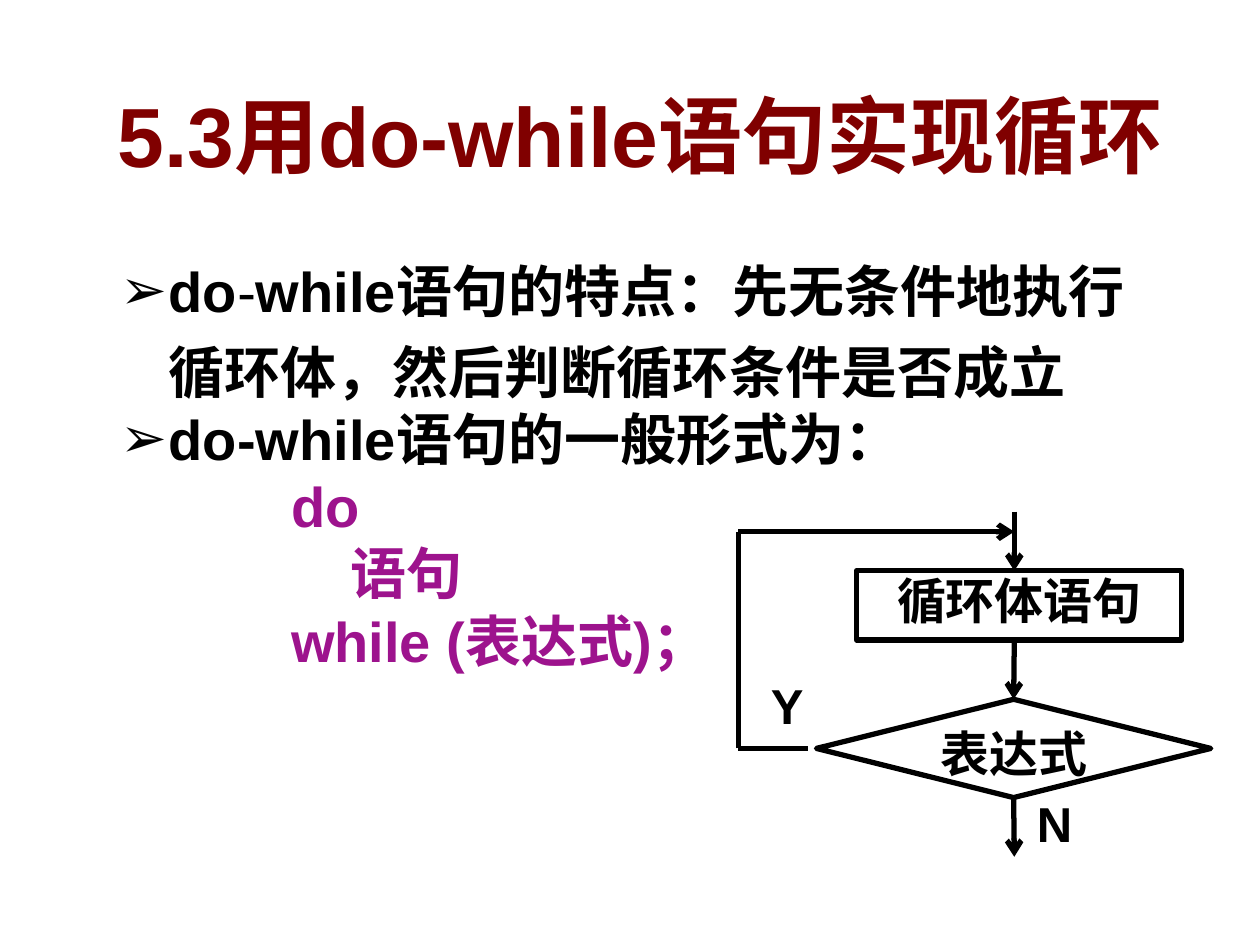
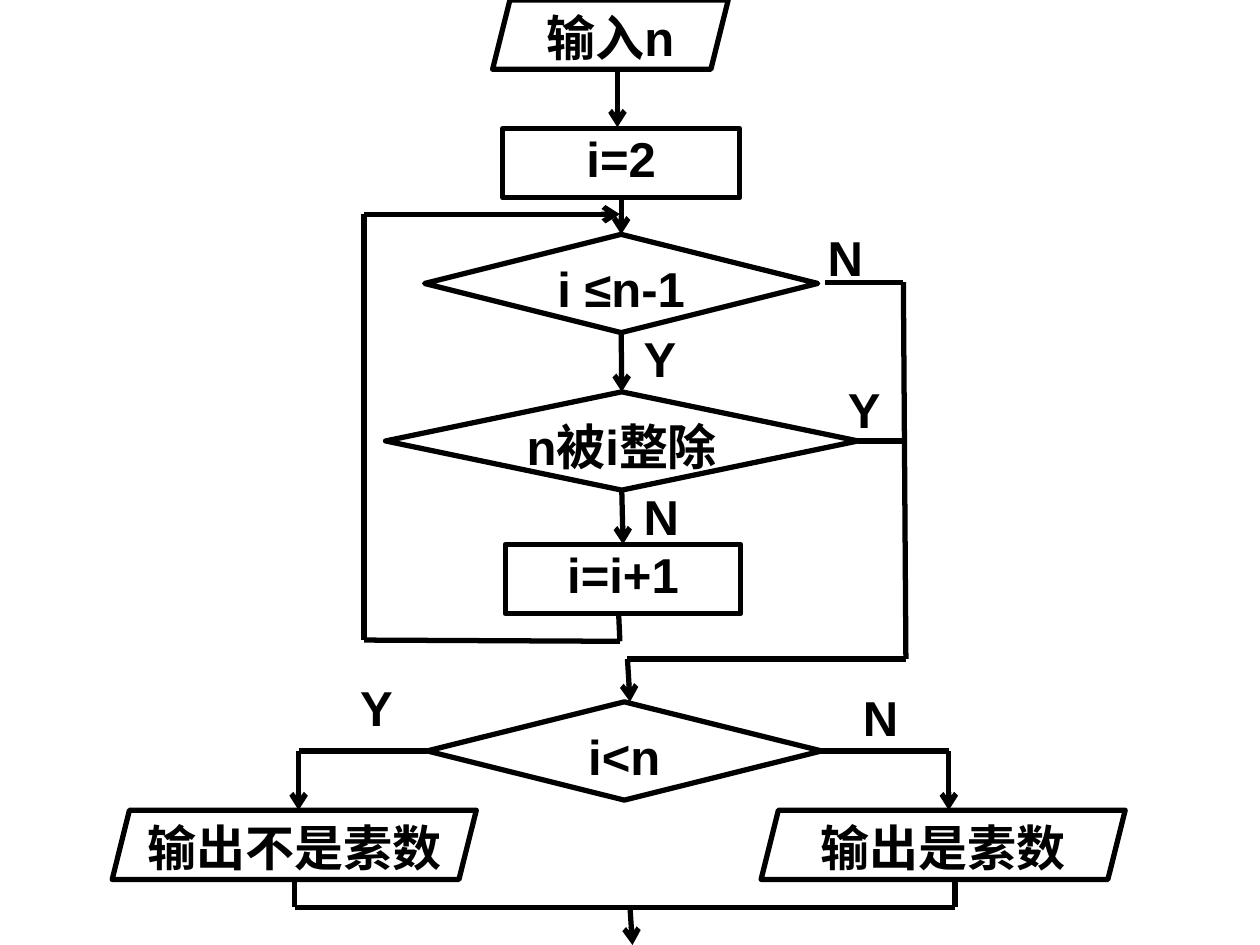
"""Build two slides on the do-while loop: its form, and a prime test flow chart."""
from lxml import etree
from pptx import Presentation
from pptx.dml.color import RGBColor
from pptx.enum.shapes import MSO_CONNECTOR, MSO_SHAPE
from pptx.enum.text import MSO_ANCHOR, MSO_AUTO_SIZE, PP_ALIGN
from pptx.oxml.ns import qn
from pptx.util import Inches, Pt

STEP = MSO_SHAPE.FLOWCHART_PROCESS
TEST = MSO_SHAPE.FLOWCHART_DECISION
DATA = MSO_SHAPE.PARALLELOGRAM
LINE = MSO_CONNECTOR.STRAIGHT
TOP, MIDDLE = MSO_ANCHOR.TOP, MSO_ANCHOR.MIDDLE
LEFT, CENTER = PP_ALIGN.LEFT, PP_ALIGN.CENTER
FIXED = MSO_AUTO_SIZE.NONE

BLACK, WHITE, RED, PLUM = "000000", "FFFFFF", "800000", "9D138D"
FONT = "Arial"
COLS = 20
UP, WEST, DOWN, EAST = range(4)


def ink(part, color):
    """Give a fill or a font colour one solid hex colour."""
    if hasattr(part, "solid"):
        part.solid()
        part = part.fore_color
    part.rgb = RGBColor.from_string(color)


def write(para, text, size, color=BLACK, bold=True):
    """Add one run to a paragraph and return it."""
    run = para.add_run()
    run.text = text
    run.font.size = Pt(size)
    run.font.bold = bold
    ink(run.font.color, color)
    run.font.name = FONT
    return run


deck = Presentation()
deck.slide_width, deck.slide_height = Inches(10), Inches(7.5)
cell = deck.slide_width / COLS

form = deck.slides.add_slide(deck.slide_layouts[1])
prime = deck.slides.add_slide(deck.slide_layouts[6])
title, body = form.shapes.title, form.placeholders[1]
places = [
    (title, (0.94, 1.22, 18.44, 1.82), MIDDLE),
    (body, (1.72, 3.76, 16.88, 7.82), TOP),
]
for box, spot, anchor in places:
    box.left, box.top, box.width, box.height = [round(n * cell) for n in spot]
    box.text_frame.auto_size = FIXED
    box.text_frame.word_wrap = True
    box.text_frame.vertical_anchor = anchor

head = title.text_frame.paragraphs[0]
head.alignment = CENTER
run = write(head, "5.3用do-while语句实现循环", 48, RED)
glow = etree.Element(qn("a:effectLst"))
shade = etree.SubElement(glow, qn("a:outerShdw"), dist="38100", dir="2700000")
etree.SubElement(shade, qn("a:srgbClr"), val="C0C0C0")
run.font._element.find(qn("a:solidFill")).addnext(glow)

items = [
    (0.38, 1.2, True, BLACK, [
        ("do", True), ("-", False),
        ("while语句的特点：先无条件地执行循环体，然后判断循环条件是否成立", True)]),
    (0.38, 1, True, BLACK, [("do-while语句的一般形式为：", True)]),
    (1.35, 1, False, PLUM, [("do", True)]),
    (1.82, 1, False, PLUM, [("语句", True)]),
    (1.35, 1, False, PLUM, [("while (表达式)；", True)]),
]
for index, (indent, space, mark, color, runs) in enumerate(items):
    frame = body.text_frame
    para = frame.add_paragraph() if index else frame.paragraphs[0]
    para.line_spacing, para.space_before = space, Pt(0)
    props = para._p.get_or_add_pPr()
    props.set("marL", str(Inches(indent)))
    props.set("indent", str(-Inches(indent) if mark else 0))
    if mark:
        tint = etree.SubElement(props, qn("a:buClr"))
        etree.SubElement(tint, qn("a:srgbClr"), val=BLACK)
        etree.SubElement(props, qn("a:buFont"), typeface=FONT)
        etree.SubElement(props, qn("a:buChar"), char="➢")
    else:
        etree.SubElement(props, qn("a:buNone"))
    for text, bold in runs:
        write(para, text, 32, color, bold)

high, tall = 1.1, 1.56
charts = [
    (form,
     [(STEP, "循环体语句", 13.6, 9.06, 5.16, high),
      (TEST, "表达式", 12.96, 11.1, 6.26, tall)],
     [("Y", 12.04, 10.62), ("N", 16.26, 12.5)],
     [(True, [(16.1, 8.12), (16.1, 9.06)]),
      (True, [(16.1, 10.16), ("表达式", UP)]),
      (True, [("表达式", DOWN), (16.1, 13.6)]),
      (True, [(12.82, 11.88), (11.72, 11.88), (11.72, 8.44), (16.1, 8.44)])]),
    (prime,
     [(DATA, "输入n", 7.82, 0, 3.74, high),
      (STEP, "i=2", 7.98, 2.04, 3.76, high),
      (TEST, "i ≤n-1", 6.74, 3.72, 6.24, tall),
      (TEST, "n被i整除", 6.12, 6.22, 7.5, tall),
      (STEP, "i=i+1", 8.02, 8.64, 3.74, high),
      (TEST, "i<n", 6.78, 11.14, 6.26, tall),
      (DATA, "输出不是素数", 1.78, 12.86, 5.78, high),
      (DATA, "输出是素数", 12.08, 12.86, 5.78, high)],
     [("N", 12.94, 3.52), ("Y", 10.02, 5.12), ("Y", 13.26, 5.92),
      ("N", 10.02, 7.62), ("Y", 5.52, 10.66), ("N", 13.5, 10.82)],
     [(True, [(9.8, 1.1), (9.8, 2.02)]),
      (True, [("i=2", DOWN), ("i ≤n-1", UP)]),
      (True, [("i ≤n-1", DOWN), ("n被i整除", UP)]),
      (True, [("n被i整除", DOWN), ("i=i+1", UP)]),
      (True, [(9.82, 9.74), (9.84, 10.18), (5.78, 10.16), (5.78, 3.4),
              (9.84, 3.4)]),
      (True, [(13.1, 4.48), (14.34, 4.48), (14.38, 10.46), (9.96, 10.46),
              (10, 11.14)]),
      (False, [("n被i整除", EAST), (14.38, 7)]),
      (True, [("i<n", WEST), (4.74, 11.92), (4.74, 12.86)]),
      (True, [("i<n", EAST), (15.06, 11.92), (15.06, 12.86)]),
      (False, [(4.68, 13.96), (4.68, 14.4), (15.16, 14.4), (15.16, 13.96)]),
      (True, [(10, 14.4), (10.04, 15)])]),
]

for slide, nodes, marks, routes in charts:
    known = {}
    for kind, text, *spot in nodes:
        node = slide.shapes.add_shape(kind, *[round(n * cell) for n in spot])
        known[text] = node
        node.shadow.inherit = False
        ink(node.fill, WHITE)
        ink(node.line.fill, BLACK)
        node.line.width = Pt(3)
        frame = node.text_frame
        frame.margin_left = frame.margin_right = 0
        frame.margin_top = frame.margin_bottom = 0
        frame.word_wrap = False
        frame.vertical_anchor = TOP
        frame.paragraphs[0].alignment = CENTER
        write(frame.paragraphs[0], text, 28)

    for text, *spot in marks:
        label = slide.shapes.add_textbox(
            *[round(n * cell) for n in (*spot, high, 1.14)])
        label.text_frame.word_wrap = True
        label.text_frame.paragraphs[0].alignment = LEFT
        write(label.text_frame.paragraphs[0], text, 28)

    for arrow, points in routes:
        for index, (start, end) in enumerate(zip(points, points[1:]), 2):
            ends = [(0, 0) if p[0] in known else p for p in (start, end)]
            link = slide.shapes.add_connector(
                LINE, *[round(n * cell) for p in ends for n in p])
            if start[0] in known:
                link.begin_connect(known[start[0]], start[1])
                if end[0] not in known and start[1] in (WEST, EAST):
                    link.end_y = link.begin_y
            if end[0] in known:
                link.end_connect(known[end[0]], end[1])
            ink(link.line.fill, BLACK)
            link.line.width = Pt(3)
            props = link._element.spPr
            if arrow and index == len(points):
                etree.SubElement(props.find(qn("a:ln")), qn("a:tailEnd"),
                                 type="arrow")
            etree.SubElement(props, qn("a:effectLst"))

deck.save("out.pptx")
